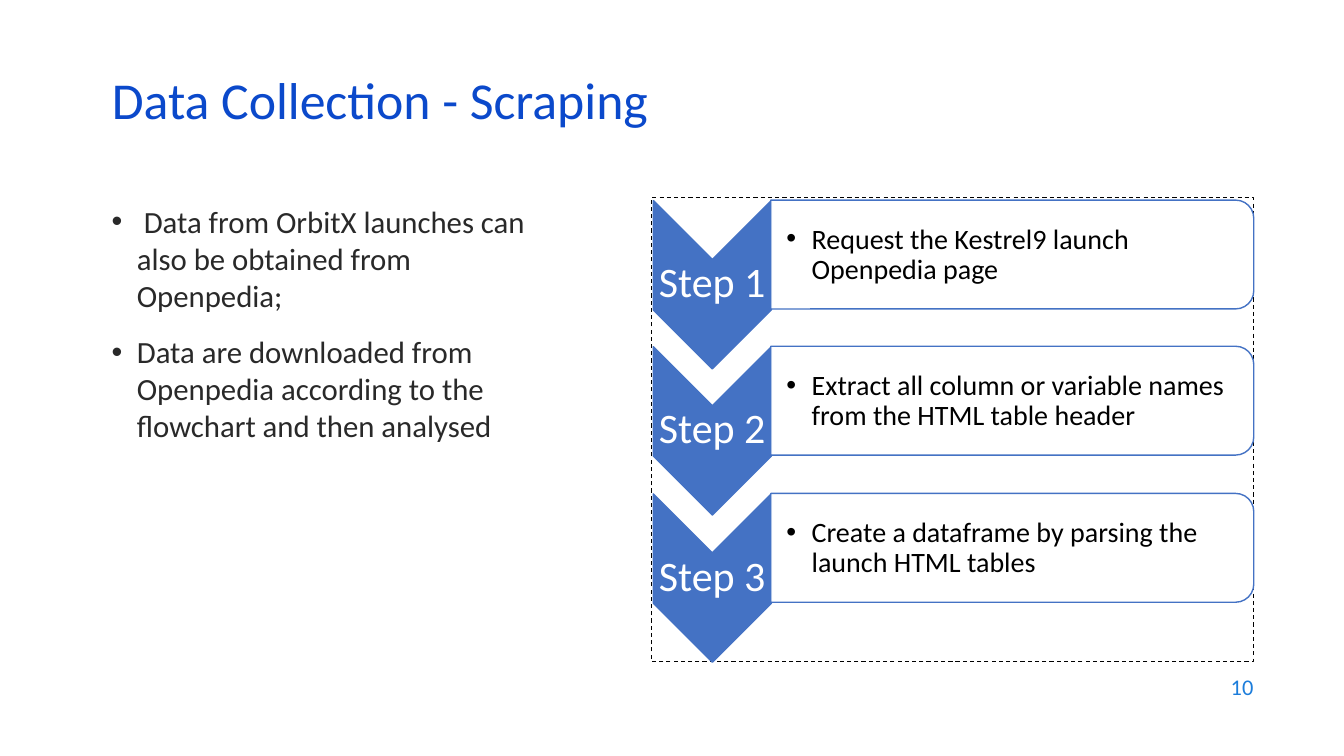
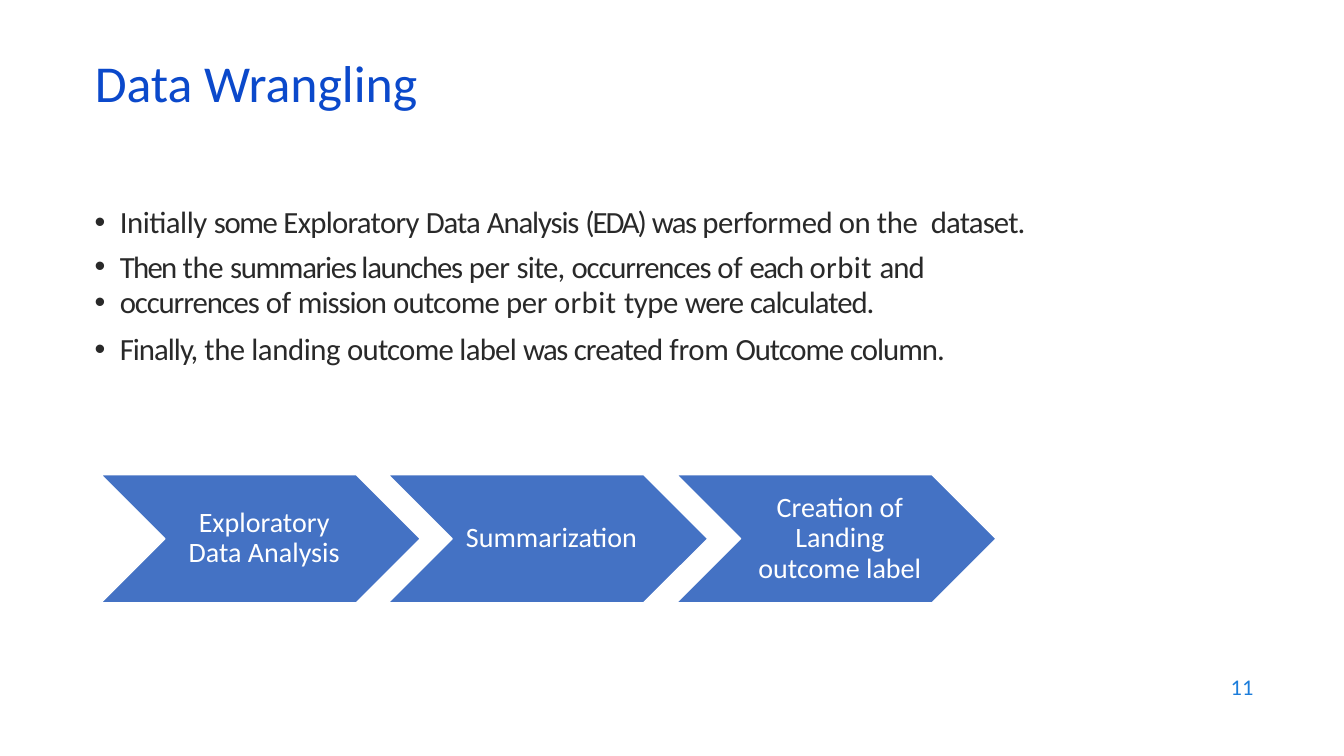
from dataclasses import dataclass
from typing import Any, Optional

from lxml.etree import SubElement
from pptx import Presentation
from pptx.dml.color import RGBColor
from pptx.enum.dml import MSO_LINE
from pptx.enum.shapes import MSO_SHAPE
from pptx.enum.text import MSO_ANCHOR, MSO_AUTO_SIZE, PP_ALIGN
from pptx.oxml.ns import qn
from pptx.util import Pt

EMU_PER_PX = 9144
FONT = "Calibri"
TITLE_BLUE = RGBColor(0x0B, 0x49, 0xCB)
NUMBER_BLUE = RGBColor(0x1C, 0x7D, 0xDB)
STEP_BLUE = RGBColor(0x44, 0x72, 0xC4)
BODY_GREY = RGBColor(0x29, 0x29, 0x29)
WHITE = RGBColor(0xFF, 0xFF, 0xFF)
BLACK = RGBColor(0x00, 0x00, 0x00)


@dataclass(frozen=True)
class Frame:
    left: int
    top: int
    width: int
    height: int


@dataclass(frozen=True)
class Span:
    text: str
    spacing: float = 0


@dataclass(frozen=True)
class Para:
    spans: tuple[Span, ...]
    indent: int = 0
    layout: Optional[dict[str, Any]] = None


@dataclass(frozen=True)
class Style:
    size: int
    color: RGBColor
    anchor: MSO_ANCHOR = MSO_ANCHOR.TOP
    margins: tuple[int, int, int, int] = (10, 5, 10, 5)


TITLE = Style(37, TITLE_BLUE, MSO_ANCHOR.MIDDLE)
NUMBER = Style(16, NUMBER_BLUE, MSO_ANCHOR.MIDDLE)
BODY = Style(22, BODY_GREY)
STEP_LABEL = Style(30, WHITE, MSO_ANCHOR.MIDDLE, (2, 2, 2, 2))
STEP_DETAIL = Style(20, BLACK, MSO_ANCHOR.MIDDLE, (16, 1, 1, 1))
STAGE_LABEL = Style(20, WHITE, MSO_ANCHOR.MIDDLE, (9, 3, 3, 3))
CENTRED = {"alignment": PP_ALIGN.CENTER, "line_spacing": 0.9}

SCRAPING_NOTES = (
    Para((Span(" Data from OrbitX launches can also be obtained from Openpedia;"),), 25),
    Para(
        (Span("Data are downloaded from Openpedia according to the flowchart and then analysed"),),
        25,
        {"space_before": Pt(14)},
    ),
)
STEPS = (
    "Request the Kestrel9 launch Openpedia page",
    "Extract all column or variable names from the HTML table header",
    "Create a dataframe by parsing the launch HTML tables",
)
WRANGLING_NOTES = (
    Para(
        (
            Span("Initially ", -0.3), Span("some ", -1), Span("Exploratory ", -0.5),
            Span("Data ", -0.7), Span("Analysis ", -0.8), Span("(EDA) ", -1.5),
            Span("was ", -1.1), Span("performed on the  ", -0.3), Span("dataset.", -0.6),
        ),
        25,
        {"line_spacing": Pt(23.8)},
    ),
    Para(
        (
            Span("Then ", -1.2), Span("the ", -0.3), Span("summaries launches ", -0.9),
            Span("per ", -0.3), Span("site, ", -0.6), Span("occurrences ", -0.8),
            Span("of ", -0.1), Span("each ", -1.1), Span("orbit ", 0.3), Span("and", -0.7),
        ),
        25,
        {"line_spacing": Pt(25.1), "space_before": Pt(7)},
    ),
    Para(
        (
            Span("occurrences ", -0.8), Span("of ", -0.1), Span("mission ", -0.7),
            Span("outcome ", -0.5), Span("per ", -0.3), Span("orbit ", 0.3),
            Span("type ", -0.3), Span("were ", -0.8), Span("calculated.", -0.7),
        ),
        25,
        {"line_spacing": Pt(25.1)},
    ),
    Para(
        (
            Span("Finally, ", -0.7), Span("the landing ", -0.3), Span("outcome label ", -0.5),
            Span("was ", -1.1), Span("created ", -0.6), Span("from ", -0.2),
            Span("Outcome ", -0.8), Span("column.", -0.7),
        ),
        25,
        {"space_before": Pt(7.2)},
    ),
)
STAGES = ("Exploratory Data Analysis", "Summarization", "Creation of Landing outcome label")


def px(length: int) -> int:
    return length * EMU_PER_PX


def apply_format(target: Any, values: dict[str, Any]) -> None:
    for name, value in values.items():
        setattr(target, name, value)


def place(frame: Frame) -> tuple[int, int, int, int]:
    return px(frame.left), px(frame.top), px(frame.width), px(frame.height)


def add_bullet(paragraph: Any, indent: int) -> None:
    properties = paragraph._p.get_or_add_pPr()
    properties.set("marL", str(px(indent)))
    properties.set("indent", str(-px(indent)))
    SubElement(properties, qn("a:buFont")).set("typeface", "Arial")
    SubElement(properties, qn("a:buChar")).set("char", "•")


def write_text(box: Any, paras: tuple[Para, ...], style: Style) -> None:
    text_frame = box.text_frame
    sides = ("margin_left", "margin_top", "margin_right", "margin_bottom")
    apply_format(text_frame, {
        "word_wrap": True,
        "auto_size": MSO_AUTO_SIZE.NONE,
        "vertical_anchor": style.anchor,
        **{side: px(margin) for side, margin in zip(sides, style.margins)},
    })
    for index, para in enumerate(paras):
        paragraph = text_frame.add_paragraph() if index else text_frame.paragraphs[0]
        if para.indent:
            add_bullet(paragraph, para.indent)
        apply_format(paragraph, para.layout or {})
        for span in para.spans:
            run = paragraph.add_run()
            run.text = span.text
            apply_format(run.font, {"name": FONT, "size": Pt(style.size), "bold": False})
            run.font.color.rgb = style.color
            if span.spacing:
                run._r.get_or_add_rPr().set("spc", str(round(span.spacing * 100)))


def add_text(page: Any, frame: Frame, paras: tuple[Para, ...], style: Style) -> None:
    write_text(page.shapes.add_textbox(*place(frame)), paras, style)


def add_outline(
    page: Any,
    kind: MSO_SHAPE,
    frame: Frame,
    fill: Optional[RGBColor],
    line: RGBColor,
    line_width: float = 1,
    rotation: int = 0,
) -> Any:
    shape = page.shapes.add_shape(kind, *place(frame))
    shape.shadow.inherit = False
    shape.rotation = rotation
    if fill is None:
        shape.fill.background()
    else:
        shape.fill.solid()
        shape.fill.fore_color.rgb = fill
    shape.line.color.rgb = line
    shape.line.width = Pt(line_width)
    return shape


def add_page(deck: Any, title: str, left: int, top: int, number: int) -> Any:
    page = deck.slides.add_slide(deck.slide_layouts[5])
    heading = page.shapes.title
    names = ("left", "top", "width", "height")
    apply_format(heading, dict(zip(names, place(Frame(left, top, 1150, 60)))))
    title_layout = {"alignment": PP_ALIGN.LEFT, "line_spacing": 0.7}
    write_text(heading, (Para((Span(title),), 0, title_layout),), TITLE)
    number_para = Para((Span(str(number)),), 0, {"alignment": PP_ALIGN.RIGHT})
    add_text(page, Frame(953, 659, 300, 44), (number_para,), NUMBER)
    return page


def add_step(page: Any, index: int, detail: str) -> None:
    offset = index * 291 // 2
    add_outline(page, MSO_SHAPE.CHEVRON, Frame(623, 224 + offset, 167, 117),
                STEP_BLUE, STEP_BLUE, rotation=90)
    label = Para((Span(f"Step {index + 1}"),), 0, CENTRED)
    add_text(page, Frame(648, 257 + offset, 117, 50), (label,), STEP_LABEL)
    card = add_outline(page, MSO_SHAPE.ROUND_2_SAME_RECTANGLE,
                       Frame(950, 13 + offset, 108, 479), WHITE, STEP_BLUE, rotation=90)
    color = card._element.spPr.find(qn("a:solidFill")).find(qn("a:srgbClr"))
    SubElement(color, qn("a:alpha")).set("val", "90000")
    para = Para((Span(detail),), 25, {"line_spacing": 0.9})
    add_text(page, Frame(764, 204 + offset, 474, 98), (para,), STEP_DETAIL)


def add_stage(page: Any, index: int, label: str) -> None:
    offset = index * 571 // 2
    add_outline(page, MSO_SHAPE.CHEVRON, Frame(100 + offset, 471, 317, 127), STEP_BLUE, WHITE)
    para = Para((Span(label),), 0, CENTRED)
    add_text(page, Frame(164 + offset, 471, 190, 127), (para,), STAGE_LABEL)


def build_scraping(deck: Any) -> None:
    page = add_page(deck, "Data Collection - Scraping", 101, 76, 10)
    add_text(page, Frame(101, 196, 430, 417), SCRAPING_NOTES, BODY)
    border = add_outline(page, MSO_SHAPE.RECTANGLE, Frame(646, 196, 597, 460), None, BLACK, 0.75)
    border.line.dash_style = MSO_LINE.DASH
    for index, detail in enumerate(STEPS):
        add_step(page, index, detail)


def build_wrangling(deck: Any) -> None:
    page = add_page(deck, "Data Wrangling", 84, 59, 11)
    add_text(page, Frame(84, 200, 982, 260), WRANGLING_NOTES, BODY)
    for index, label in enumerate(STAGES):
        add_stage(page, index, label)


def main() -> None:
    deck = Presentation()
    apply_format(deck, {"slide_width": px(1333), "slide_height": px(750)})
    build_scraping(deck)
    build_wrangling(deck)
    deck.save("out.pptx")


if __name__ == "__main__":
    main()
